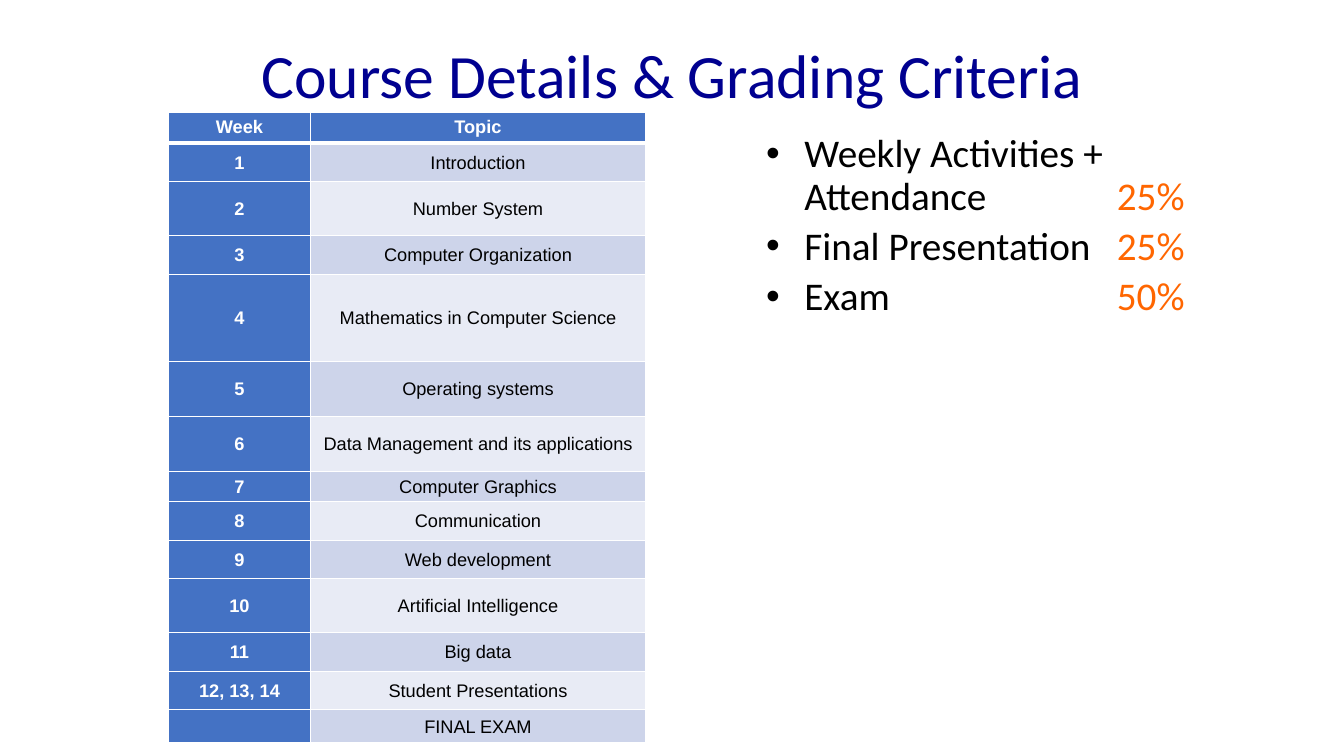
"""Builds the course details and grading criteria slide."""
import dataclasses

import lxml.etree
import pptx
import pptx.dml.color
import pptx.enum.text
import pptx.oxml.ns
import pptx.util

Inches = pptx.util.Inches
Pt = pptx.util.Pt
RGB = pptx.dml.color.RGBColor.from_string
Align = pptx.enum.text.PP_ALIGN
Anchor = pptx.enum.text.MSO_ANCHOR


@dataclasses.dataclass(frozen=True)
class Theme:
    """Colours, fonts and type sizes of the slide."""
    title: str = "000090"
    text: str = "000000"
    light: str = "FFFFFF"
    share: str = "FF6600"
    accent: str = "4472C4"
    bands: tuple = ("CDD4EA", "E8EBF5")
    font: str = "Calibri"
    table_font: str = "Arial"
    title_size: int = 44
    body_size: int = 28
    table_size: int = 13


class SlideBuilder:
    """Holds the theme and the current slide."""

    def __init__(self, slide, theme):
        self.slide = slide
        self.theme = theme

    def add_element(self, parent, tag, **attributes):
        """Append a drawing element to a parent."""
        name = pptx.oxml.ns.qn(tag)
        return lxml.etree.SubElement(parent, name, attributes)

    def style(self, paragraph, font, size, color, bold=False):
        """Set the font of a paragraph."""
        paragraph.font.name = font
        paragraph.font.size = Pt(size)
        paragraph.font.bold = bold
        paragraph.font.color.rgb = RGB(color)

    def add_text_box(self, left, top, width, height):
        """Add a wrapping text box and return its frame."""
        shape = self.slide.shapes.add_textbox(
            Inches(left), Inches(top), Inches(width), Inches(height))
        shape.text_frame.word_wrap = True
        return shape.text_frame

    def add_title(self, text, *place):
        """Add the centred title."""
        frame = self.add_text_box(*place)
        frame.vertical_anchor = Anchor.MIDDLE
        paragraph = frame.paragraphs[0]
        paragraph.text = text
        paragraph.alignment = Align.CENTER
        paragraph.line_spacing = 0.9
        self.style(paragraph, self.theme.font, self.theme.title_size, self.theme.title)

    def add_grading(self, criteria, tab, *place):
        """Add bullets with each share at a tab stop."""
        frame = self.add_text_box(*place)
        for index, (label, share) in enumerate(criteria):
            paragraph = frame.add_paragraph() if index else frame.paragraphs[0]
            paragraph.line_spacing = 0.9
            paragraph.space_before = Pt(5.6 if index else 0)
            properties = paragraph._p.get_or_add_pPr()
            properties.set("marL", str(Inches(0.38)))
            properties.set("indent", str(Inches(-0.38)))
            color = self.add_element(properties, "a:buClr")
            self.add_element(color, "a:srgbClr", val=self.theme.text)
            self.add_element(properties, "a:buFont", typeface="Arial")
            self.add_element(properties, "a:buChar", char="•")
            tabs = self.add_element(properties, "a:tabLst")
            self.add_element(tabs, "a:tab", pos=str(Inches(tab)), algn="l")
            self.style(paragraph, self.theme.font, self.theme.body_size, self.theme.text)
            paragraph.add_run().text = label + "\t"
            run = paragraph.add_run()
            run.text = share
            run.font.color.rgb = RGB(self.theme.share)

    def add_schedule(self, rows, left, top, widths, heights):
        """Add the banded table of weeks and topics."""
        table = self.slide.shapes.add_table(
            len(rows), len(widths), Inches(left), Inches(top),
            Inches(sum(widths)), Inches(sum(heights))).table
        for column, width in zip(table.columns, widths):
            column.width = Inches(width)
        for row, height in zip(table.rows, heights):
            row.height = Inches(height)
        for row_index, values in enumerate(rows):
            for column_index, value in enumerate(values):
                self.fill_cell(table.cell(row_index, column_index), value,
                               row_index, column_index)

    def fill_cell(self, cell, value, row, column):
        """Write and style one table cell."""
        strong = row == 0 or column == 0
        cell.margin_left = cell.margin_right = Inches(0.03)
        cell.margin_top = cell.margin_bottom = Inches(0.03)
        cell.vertical_anchor = Anchor.MIDDLE if row else Anchor.TOP
        paragraph = cell.text_frame.paragraphs[0]
        paragraph.text = value
        paragraph.alignment = Align.CENTER
        paragraph.line_spacing = 1.06
        self.style(paragraph, self.theme.table_font, self.theme.table_size,
                   self.theme.light if strong else self.theme.text, strong)
        properties = cell._tc.get_or_add_tcPr()
        for side in "LRTB":
            thick = (row == 0 and side == "B") or (row == 1 and side == "T")
            line = self.add_element(properties, "a:ln" + side, w=str(Pt(3 if thick else 1)))
            fill = self.add_element(line, "a:solidFill")
            self.add_element(fill, "a:srgbClr", val=self.theme.light)
        cell.fill.solid()
        color = self.theme.accent if strong else self.theme.bands[(row - 1) % 2]
        cell.fill.fore_color.rgb = RGB(color)


def main():
    """Build and save the presentation."""
    presentation = pptx.Presentation()
    presentation.slide_width = Inches(13.33)
    presentation.slide_height = Inches(7.5)
    slide = presentation.slides.add_slide(presentation.slide_layouts[6])
    builder = SlideBuilder(slide, Theme())
    builder.add_title("Course Details & Grading Criteria", 1.67, 0, 10, 1.55)
    criteria = [("Weekly Activities + Attendance", "25%"),
                ("Final Presentation", "25%"), ("Exam", "50%")]
    builder.add_grading(criteria, 3.48, 7.5, 1.28, 5.13, 4.95)
    schedule = [
        ("Week", "Topic", 0.3),
        ("1", "Introduction", 0.38),
        ("2", "Number System", 0.54),
        ("3", "Computer Organization", 0.38),
        ("4", "Mathematics in Computer Science", 0.87),
        ("5", "Operating systems", 0.54),
        ("6", "Data Management and its applications", 0.55),
        ("7", "Computer Graphics", 0.3),
        ("8", "Communication", 0.38),
        ("9", "Web development", 0.38),
        ("10", "Artificial Intelligence", 0.54),
        ("11", "Big data", 0.38),
        ("12, 13, 14", "Student Presentations", 0.38),
        ("", "FINAL EXAM", 0.33),
    ]
    builder.add_schedule([row[:2] for row in schedule], 1.67, 1.12,
                         (1.41, 3.32), [row[2] for row in schedule])
    presentation.save("out.pptx")


if __name__ == "__main__":
    main()
